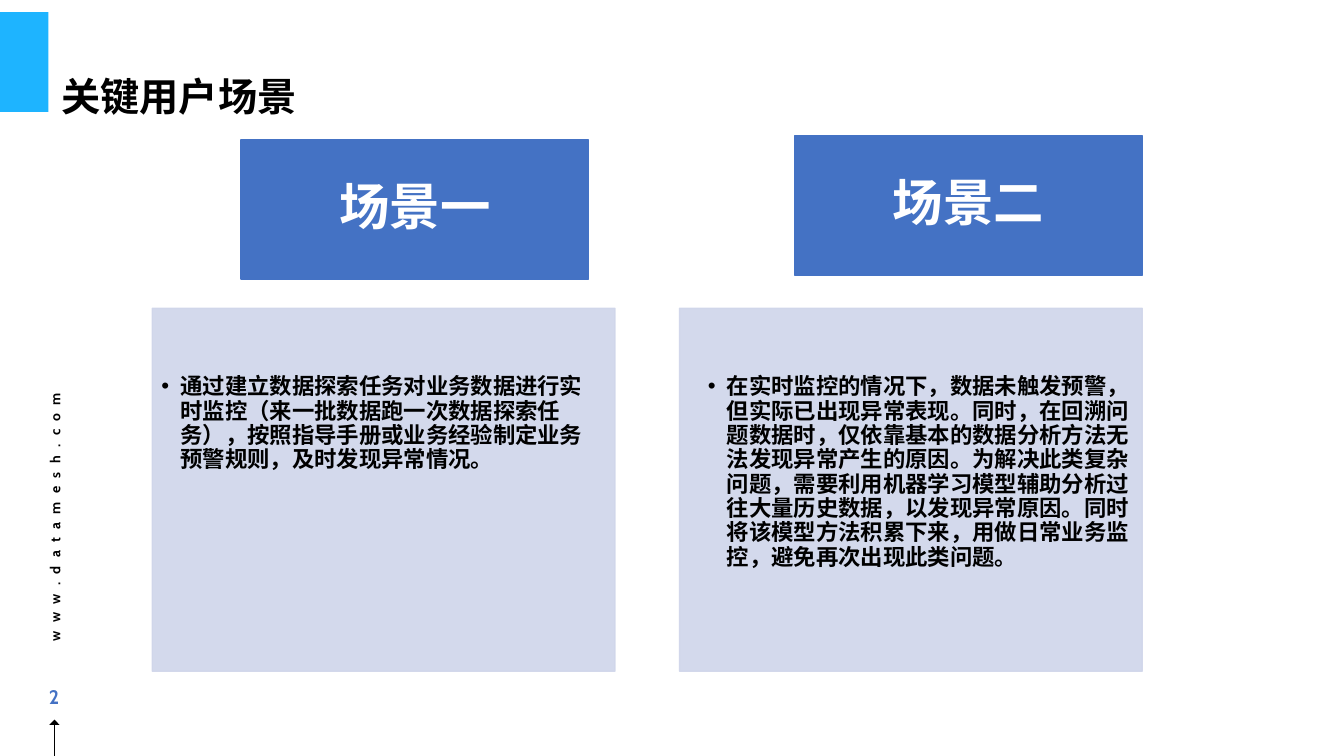
import lxml.etree
import pptx
import pptx.dml.color
import pptx.enum.shapes
import pptx.enum.text
import pptx.oxml.ns
import pptx.util

COLORS = {
    "sky": "1EB4FF",
    "blue": "4472C4",
    "pale": "CFD5EA",
    "black": "000000",
    "white": "FFFFFF",
}
CJK = "Noto Sans CJK SC"
LATIN = "Cabin"
SHAPE = pptx.enum.shapes.MSO_SHAPE
ALIGN = pptx.enum.text.PP_ALIGN
ANCHOR = pptx.enum.text.MSO_ANCHOR

WIDTH = pptx.util.Inches(13.33)
HEIGHT = pptx.util.Inches(7.5)

SCENARIOS = [
    ("场景一", "通过建立数据探索任务对业务数据进行实时监控（来一批数据跑一次数据探索任务），"
     "按照指导手册或业务经验制定业务预警规则，及时发现异常情况。", CJK),
    ("场景二", "在实时监控的情况下，数据未触发预警，但实际已出现异常表现。同时，在回溯问题数据时，"
     "仅依靠基本的数据分析方法无法发现异常产生的原因。为解决此类复杂问题，"
     "需要利用机器学习模型辅助分析过往大量历史数据，以发现异常原因。"
     "同时将该模型方法积累下来，用做日常业务监控，避免再次出现此类问题。", "Arial"),
]


def rgb(name):
    return pptx.dml.color.RGBColor.from_string(COLORS[name])


def place(box):
    """Turn left, top, width, height in percent of the slide into lengths."""
    return [round(share * side / 100)
            for share, side in zip(box, (WIDTH, HEIGHT, WIDTH, HEIGHT))]


def add_child(parent, tag, **attrs):
    child = lxml.etree.SubElement(parent, pptx.oxml.ns.qn(tag))
    for key, value in attrs.items():
        child.set(key, value)
    return child


def add_block(slide, kind, box, color, alpha=None, outlined=False):
    sp = slide.shapes.add_shape(kind, *place(box))
    sp.shadow.inherit = False
    sp.fill.solid()
    sp.fill.fore_color.rgb = rgb(color)
    if outlined:
        sp.line.color.rgb = rgb(color)
        sp.line.width = pptx.util.Pt(1)
    else:
        sp.line.fill.background()
    if alpha:
        for clr in sp._element.spPr.iter(pptx.oxml.ns.qn("a:srgbClr")):
            add_child(clr, "a:alpha", val=str(alpha * 1000))
    return sp


def write(sp, text, size, color, font, align=ALIGN.LEFT, anchor=ANCHOR.MIDDLE,
          wrap=True, insets=(0.1, 0.05, 0.1, 0.05), spacing=0.9, indent=None,
          tracking=None):
    """Fill a shape with one bold paragraph; an indent in inches adds a bullet."""
    tf = sp.text_frame
    tf.word_wrap = wrap
    tf.vertical_anchor = anchor
    tf.margin_left, tf.margin_top, tf.margin_right, tf.margin_bottom = map(
        pptx.util.Inches, insets)
    p = tf.paragraphs[0]
    p.text = text
    p.alignment = align
    p.line_spacing = spacing
    if indent:
        pPr = p._p.get_or_add_pPr()
        pPr.set("marL", str(pptx.util.Inches(indent)))
        pPr.set("indent", str(-pptx.util.Inches(0.19)))
        add_child(pPr, "a:buFont", typeface="Arial")
        add_child(pPr, "a:buChar", char="•")
    p.font.size = pptx.util.Pt(size)
    p.font.bold = True
    p.font.color.rgb = rgb(color)
    p.font.name = font
    rPr = p._p.pPr.find(pptx.oxml.ns.qn("a:defRPr"))
    add_child(rPr, "a:ea", typeface=CJK)
    if tracking:
        rPr.set("spc", str(tracking * 100))


def add_title(slide, box, text):
    write(slide.shapes.add_textbox(*place(box)), text, 28, "black", CJK)


def add_side_strip(slide, box):
    """Accent bar, upright web address, page number and arrow."""
    left, top, width, height = box
    axis = left + 4.05
    bottom = top + height
    add_block(slide, SHAPE.RECTANGLE, (left, top + 1.6, width, 13.2), "sky")

    address = slide.shapes.add_textbox(
        *place((axis - 10.2, top + 66.13, 20.48, 3.6)))
    address.rotation = 270
    write(address, "www.datamesh.com", 10, "black", LATIN, anchor=ANCHOR.TOP,
          wrap=False, spacing=1.0, tracking=6)

    number = slide.shapes.add_textbox(
        *place((left + 1.43, bottom - 11.47, 5.18, 7.2)))
    write(number, "2", 14, "blue", LATIN, align=ALIGN.CENTER, wrap=False,
          insets=(0.13, 0.07, 0.13, 0.07), spacing=1.0)

    x, y, _, length = place((axis, bottom - 4.67, 0, 4.67))
    stem = slide.shapes.add_connector(
        pptx.enum.shapes.MSO_CONNECTOR.STRAIGHT, x, y, x, y + length)
    stem.line.color.rgb = rgb("black")
    stem.line.width = pptx.util.Pt(1)
    add_child(stem._element.spPr, "a:effectLst")
    add_block(slide, SHAPE.ISOSCELES_TRIANGLE,
              (axis - 0.37, bottom - 4.8, 0.75, 0.67), "black")


def add_scenario(slide, box, scenario, head_offset, indent):
    """Blue heading, shifted by head_offset, above a pale panel of text."""
    left, top, width, height = box
    heading, text, font = scenario
    dx, dy = head_offset
    head = add_block(slide, SHAPE.RECTANGLE,
                     (left + dx, top + dy, 25.88, 18.4), "blue", outlined=True)
    write(head, heading, 36, "white", CJK, align=ALIGN.CENTER,
          insets=(0.4, 0.23, 0.4, 0.23))
    panel = add_block(slide, SHAPE.RECTANGLE,
                      (left, top + 22.8, width, height - 22.8), "pale",
                      alpha=90, outlined=True)
    write(panel, text, 16, "black", font, anchor=ANCHOR.TOP,
          insets=(0.09, 0.66, 0.12, 0.14), spacing=pptx.util.Pt(17.4),
          indent=indent)


def main():
    prs = pptx.Presentation()
    prs.slide_width, prs.slide_height = WIDTH, HEIGHT
    slide = prs.slides.add_slide(prs.slide_layouts[6])
    add_side_strip(slide, (0, 0, 3.6, 100))
    add_title(slide, (3.83, 6, 86.27, 14.27), "关键用户场景")
    offsets = [(6.6, 0.53), (8.55, 0)]
    for i, (scenario, offset) in enumerate(zip(SCENARIOS, offsets)):
        add_scenario(slide, (11.33 + 39.23 * i, 18, 34.43, 70.8), scenario,
                     offset, 0.19 * (i + 1))
    prs.save("out.pptx")


if __name__ == "__main__":
    main()
